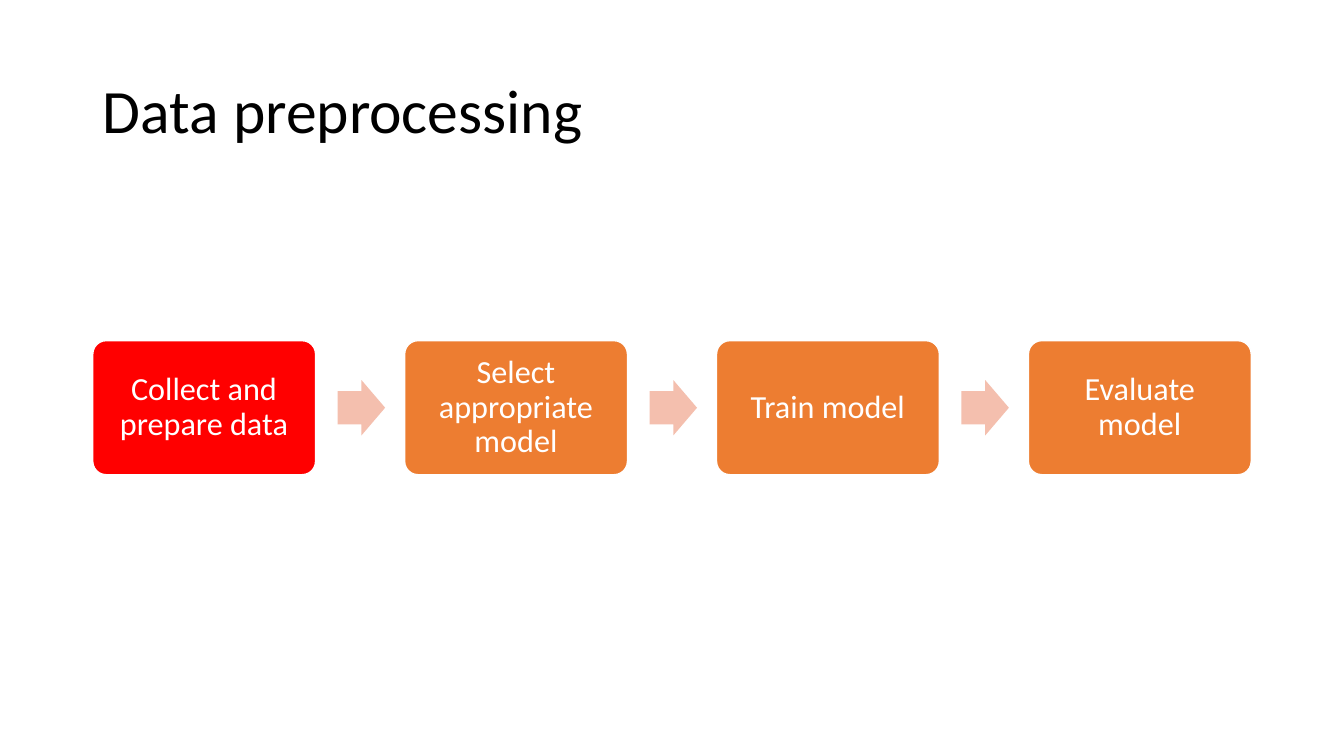
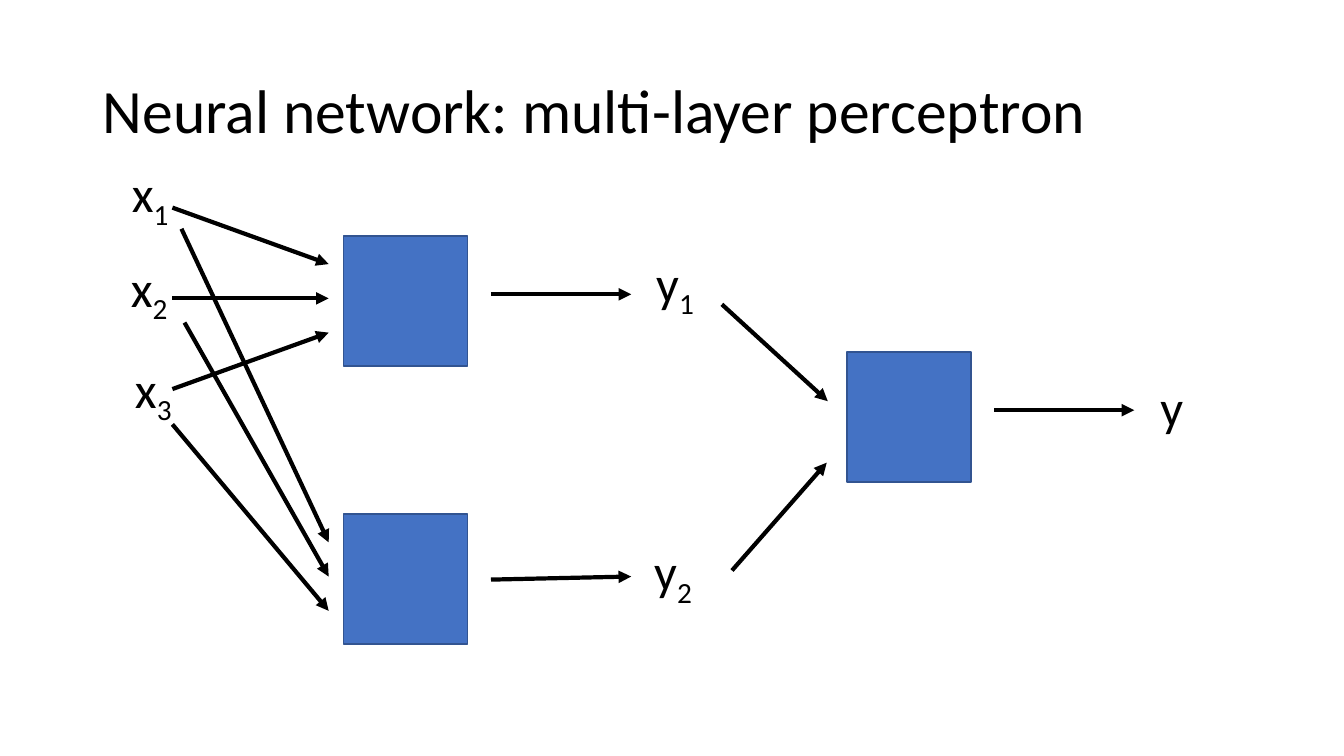
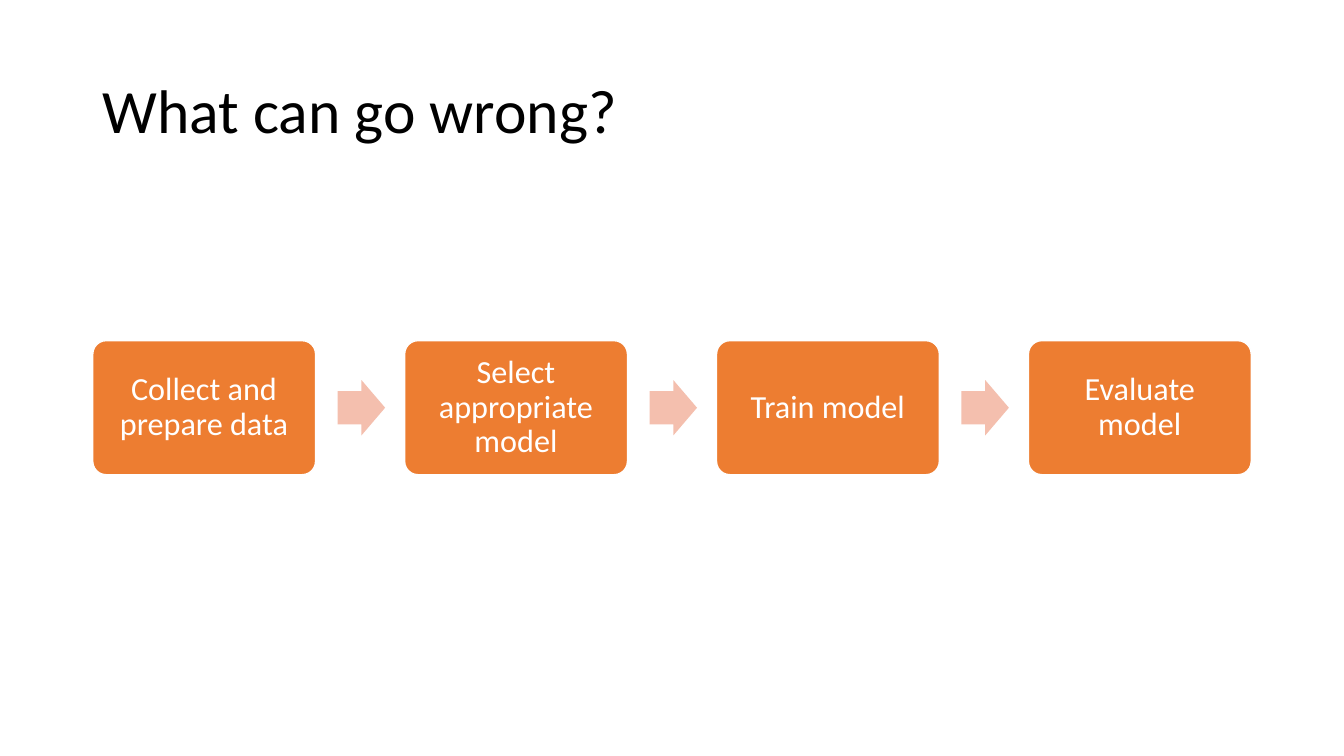
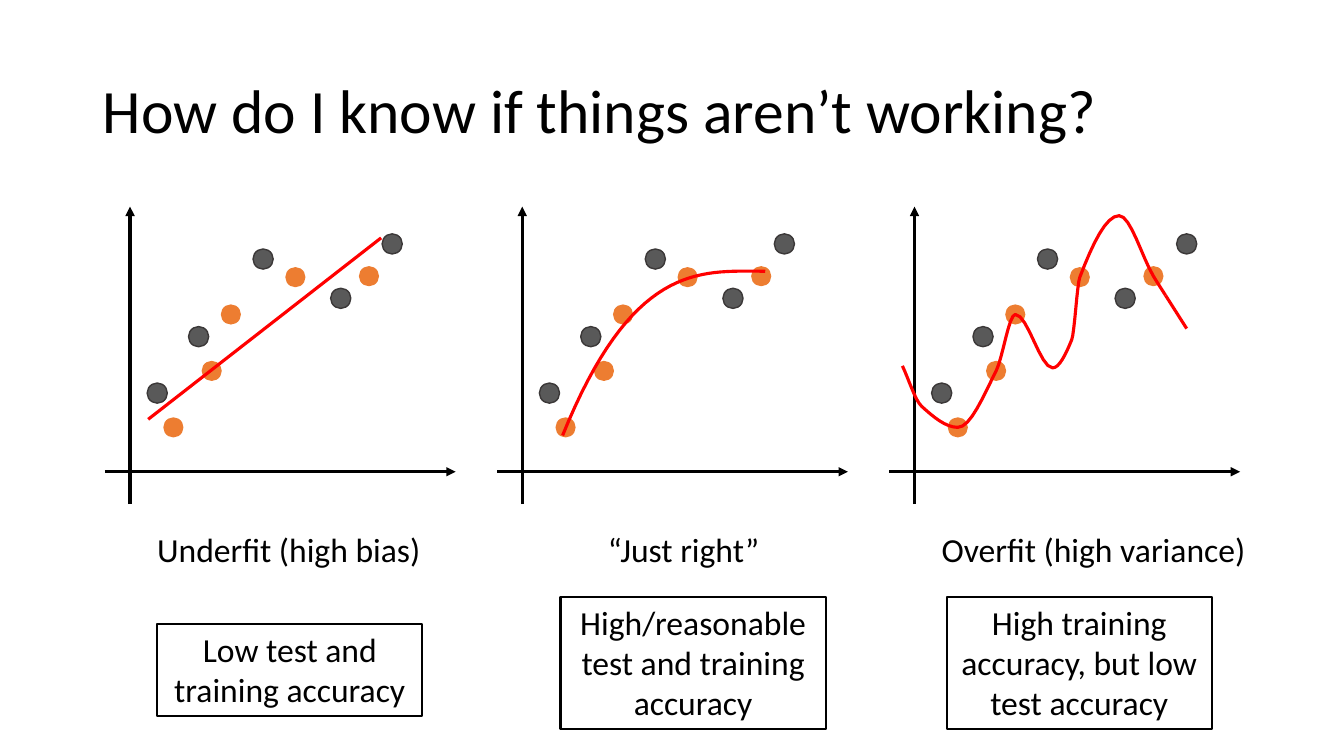
from dataclasses import dataclass
from itertools import pairwise

from lxml import etree
from pptx import Presentation
from pptx.dml.color import RGBColor
from pptx.enum import shapes, text
from pptx.oxml import ns
from pptx.util import Inches, Pt

SHAPE = shapes.MSO_SHAPE


@dataclass(frozen=True)
class Theme:
    font: str = "Calibri"
    black: str = "000000"
    white: str = "FFFFFF"
    orange: str = "ED7D31"
    red: str = "FF0000"
    peach: str = "F4BFAE"
    blue: str = "4472C4"
    blue_edge: str = "325491"
    gray: str = "595959"
    gray_edge: str = "3B3838"
    title: float = 44
    symbol: float = 36
    caption: float = 24
    step: float = 23
    hairline: float = 1
    outline: float = 1.5
    axis: float = 2.25
    arrow: float = 3


T = Theme()

STEPS = ["Collect and prepare data", "Select appropriate model", "Train model", "Evaluate model"]

DOT = 0.2
TRAIN_DOTS = [(0.58, 2.09), (0.96, 1.53), (1.15, 0.97), (1.79, 0.6), (2.52, 0.59)]
TEST_DOTS = [(0.42, 1.75), (2.24, 0.81), (1.47, 0.42), (0.83, 1.19)]


def rgb(color):
    return RGBColor.from_string(color)


def inches(*lengths):
    return [Inches(n) for n in lengths]


def style_line(line, color, width):
    line.color.rgb = rgb(color)
    line.width = Pt(width)


def style_paragraph(p, size, color=T.black, align=text.PP_ALIGN.LEFT, spacing=None):
    p.alignment = align
    p.font.name = T.font
    p.font.size = Pt(size)
    p.font.color.rgb = rgb(color)
    if spacing:
        p.line_spacing = spacing


def add_shape(s, kind, box, fill=None, edge=None, width=T.hairline):
    sp = s.shapes.add_shape(kind, *inches(*box))
    sp.shadow.inherit = False
    if fill:
        sp.fill.solid()
        sp.fill.fore_color.rgb = rgb(fill)
    else:
        sp.fill.background()
    if edge:
        style_line(sp.line, edge, width)
    else:
        sp.line.fill.background()
    return sp


def add_line(s, origin, start, end, color=T.black, width=T.arrow, head=True):
    x, y = origin
    ends = inches(x + start[0], y + start[1], x + end[0], y + end[1])
    line = s.shapes.add_connector(shapes.MSO_CONNECTOR.STRAIGHT, *ends)
    style_line(line.line, color, width)
    if head:
        etree.SubElement(line.line._get_or_add_ln(), ns.qn("a:tailEnd"), type="triangle")
    etree.SubElement(line._element.spPr, ns.qn("a:effectLst"))


def add_label(s, box, words, size, subscript=""):
    tf = s.shapes.add_textbox(*inches(*box)).text_frame
    tf.word_wrap = True
    p = tf.paragraphs[0]
    p.add_run().text = words
    style_paragraph(p, size)
    if subscript:
        r = p.add_run()
        r.text = subscript
        r._r.get_or_add_rPr().set("baseline", "-25000")


def add_curve(s, origin, points):
    places = [tuple(inches(origin[0] + x, origin[1] + y)) for x, y in points]
    builder = s.shapes.build_freeform(*places[0])
    builder.add_line_segments(places[1:], close=False)
    sp = builder.convert_to_shape()
    sp.shadow.inherit = False
    sp.fill.background()
    style_line(sp.line, T.red, T.axis)


def new_slide(prs, title):
    s = prs.slides.add_slide(prs.slide_layouts[5])
    sp = s.shapes.title
    sp.left, sp.top, sp.width, sp.height = inches(0.92, 0.4, 11.5, 1.45)
    tf = sp.text_frame
    tf.text = title
    tf.vertical_anchor = text.MSO_ANCHOR.MIDDLE
    style_paragraph(tf.paragraphs[0], T.title, spacing=0.9)
    return s


def add_workflow(s, box, current=None):
    left, top, total_width, height = box
    width = 2.21
    pitch = (total_width - width) / (len(STEPS) - 1)
    arrow_width, arrow_height = 0.47, 0.55
    for i, step in enumerate(STEPS):
        x = left + i * pitch
        fill = T.red if i == current else T.orange
        sp = add_shape(s, SHAPE.ROUNDED_RECTANGLE, (x, top, width, height), fill, T.white)
        sp.adjustments[0] = 0.1
        tf = sp.text_frame
        tf.word_wrap = True
        tf.vertical_anchor = text.MSO_ANCHOR.MIDDLE
        tf.margin_left = tf.margin_right = tf.margin_top = tf.margin_bottom = Inches(0.1)
        tf.text = step
        style_paragraph(tf.paragraphs[0], T.step, T.white, text.PP_ALIGN.CENTER, 0.9)
        if i < len(STEPS) - 1:
            arrow_top = top + (height - arrow_height) / 2
            arrow_box = (x + width + 0.22, arrow_top, arrow_width, arrow_height)
            arrow = add_shape(s, SHAPE.RIGHT_ARROW, arrow_box, T.peach)
            arrow.adjustments[0], arrow.adjustments[1] = 0.6, 0.5


def add_network(s, left, top):
    origin = left, top
    neuron_width, neuron_height = 1.23, 1.29
    upper, lower, final = (2.21, 0.78), (2.21, 3.54), (7.2, 1.93)
    for x, y in (upper, lower, final):
        box = (left + x, top + y, neuron_width, neuron_height)
        add_shape(s, SHAPE.RECTANGLE, box, T.blue, T.blue_edge)

    label_places = {
        "x1": (0.01, 0), "x2": (0, 0.94), "x3": (0.04, 1.94),
        "y1": (5.21, 0.89), "y2": (5.19, 3.75), "y": (10.21, 2.12),
    }
    for name, (x, y) in label_places.items():
        letter, index = name[0], name[1:]
        width = 0.59 if letter == "x" else 0.75
        add_label(s, (left + x, top + y, width, 0.71), letter, T.symbol, index)

    to_upper = [(0.51, 0.5 + 0.9 * i) for i in range(3)]
    to_lower = [(0.6, 0.71), (0.63, 1.64), (0.51, 2.65)]
    for (x, y), starts in ((upper, to_upper), (lower, to_lower)):
        for i, start in enumerate(starts):
            add_line(s, origin, start, (x - 0.15, y + 0.28 + 0.34 * i))

    for (x, y), exit_drop, rise in ((upper, 0.58, 0), (lower, 0.65, 0.03), (final, 0.58, 0)):
        start_x, start_y = x + neuron_width + 0.23, y + exit_drop
        add_line(s, origin, (start_x, start_y), (start_x + 1.39, start_y - rise))

    x, y = final
    add_line(s, origin, (5.96, 1.46), (x - 0.19, y + 0.49))
    add_line(s, origin, (6.06, 4.1), (x - 0.2, y + 1.1))


def saturating_curve(start, apex, end_x, power=2.8, count=32):
    (x0, y0), (x1, y1) = start, apex
    points = []
    for i in range(count + 1):
        x = x0 + (end_x - x0) * i / count
        remaining = abs(x1 - x) / (x1 - x0)
        points.append((x, y1 + (y0 - y1) * remaining ** power))
    return points


def knot_slopes(knots):
    secants = [(y1 - y0) / (x1 - x0) for (x0, y0), (x1, y1) in pairwise(knots)]
    inner = [2 * a * b / (a + b) if a * b > 0 else 0 for a, b in pairwise(secants)]
    return [secants[0], *inner, secants[-1]]


def curve_through(knots, count=8):
    points = [knots[0]]
    for ((x0, y0), m0), ((x1, y1), m1) in pairwise(zip(knots, knot_slopes(knots))):
        width = x1 - x0
        for i in range(1, count + 1):
            t = i / count
            ease = t * t * (3 - 2 * t)
            bend = t * (1 - t) * ((1 - t) * m0 - t * m1)
            points.append((x0 + width * t, y0 + (y1 - y0) * ease + width * bend))
    return points


def draw_underfit(s, origin):
    add_line(s, origin, (0.43, 2.11), (2.74, 0.31), T.red, T.axis, head=False)


def draw_good_fit(s, origin):
    add_curve(s, origin, saturating_curve(start=(0.65, 2.27), apex=(2.5, 0.64), end_x=2.66))


def draw_overfit(s, origin):
    train_centres = [(x + DOT / 2, y + DOT / 2) for x, y in TRAIN_DOTS]
    entry = [(0.13, 1.58), (0.32, 1.98)]
    dip = [(1.62, 1.6), (1.81, 1.32)]
    peak, end = (2.28, 0.09), (2.74, 0.88)
    add_curve(s, origin, curve_through(sorted([*train_centres, *entry, *dip, peak, end])))
    add_line(s, origin, end, (2.95, 1.21), T.red, T.axis, head=False)


@dataclass(frozen=True)
class FitPanel:
    draw_fit: object
    caption: str
    caption_x: float
    caption_width: float
    verdict: str
    verdict_box: tuple
    last_dot_x: float = 2.75


FIT_PANELS = [
    FitPanel(draw_underfit, "Underfit (high bias)", 0.42, 2.88,
             "Low test and training accuracy", (0.52, 4.14, 2.63, 0.91)),
    FitPanel(draw_good_fit, "“Just right”", 1, 2.47,
             "High/reasonable\ntest and training accuracy", (0.63, 3.87, 2.63, 1.31)),
    FitPanel(draw_overfit, "Overfit (high variance)", 0.42, 3.3,
             "High training accuracy, but low test accuracy", (0.57, 3.87, 2.63, 1.31), 2.85),
]


def add_plot(s, left, top, last_dot_x):
    origin = left, top
    add_line(s, origin, (0.25, 2.95), (0.25, 0), width=T.axis)
    add_line(s, origin, (0, 2.63), (3.48, 2.63), width=T.axis)
    test_dots = [*TEST_DOTS, (last_dot_x, 0.27)]
    for dots, fill, edge in ((TRAIN_DOTS, T.orange, None), (test_dots, T.gray, T.gray_edge)):
        for x, y in dots:
            add_shape(s, SHAPE.OVAL, (left + x, top + y, DOT, DOT), fill, edge)


def add_verdict(s, box, words):
    sp = add_shape(s, SHAPE.RECTANGLE, box, edge=T.black, width=T.outline)
    tf = sp.text_frame
    tf.word_wrap = True
    tf.vertical_anchor = text.MSO_ANCHOR.TOP
    tf.text = words
    for p in tf.paragraphs:
        style_paragraph(p, T.caption, align=text.PP_ALIGN.CENTER)


def add_fit_panel(s, left, top, panel):
    add_plot(s, left, top, panel.last_dot_x)
    panel.draw_fit(s, (left, top))
    caption_box = (left + panel.caption_x, top + 3.15, panel.caption_width, 0.5)
    add_label(s, caption_box, panel.caption, T.caption)
    x, y, width, height = panel.verdict_box
    add_verdict(s, (left + x, top + y, width, height), panel.verdict)


def add_fit_panels(s, left, top, pitch=3.89):
    for i, panel in enumerate(FIT_PANELS):
        add_fit_panel(s, left + i * pitch, top, panel)


def main():
    prs = Presentation()
    prs.slide_width, prs.slide_height = inches(13.33, 7.5)
    workflow_box = (0.92, 3.38, 11.49, 1.33)

    add_workflow(new_slide(prs, "Data preprocessing"), workflow_box, current=0)
    add_network(new_slide(prs, "Neural network: multi-layer perceptron"), 1.2, 1.56)
    add_workflow(new_slide(prs, "What can go wrong?"), workflow_box)
    add_fit_panels(new_slide(prs, "How do I know if things aren’t working?"), 1.04, 2.05)

    prs.save("out.pptx")


if __name__ == "__main__":
    main()
